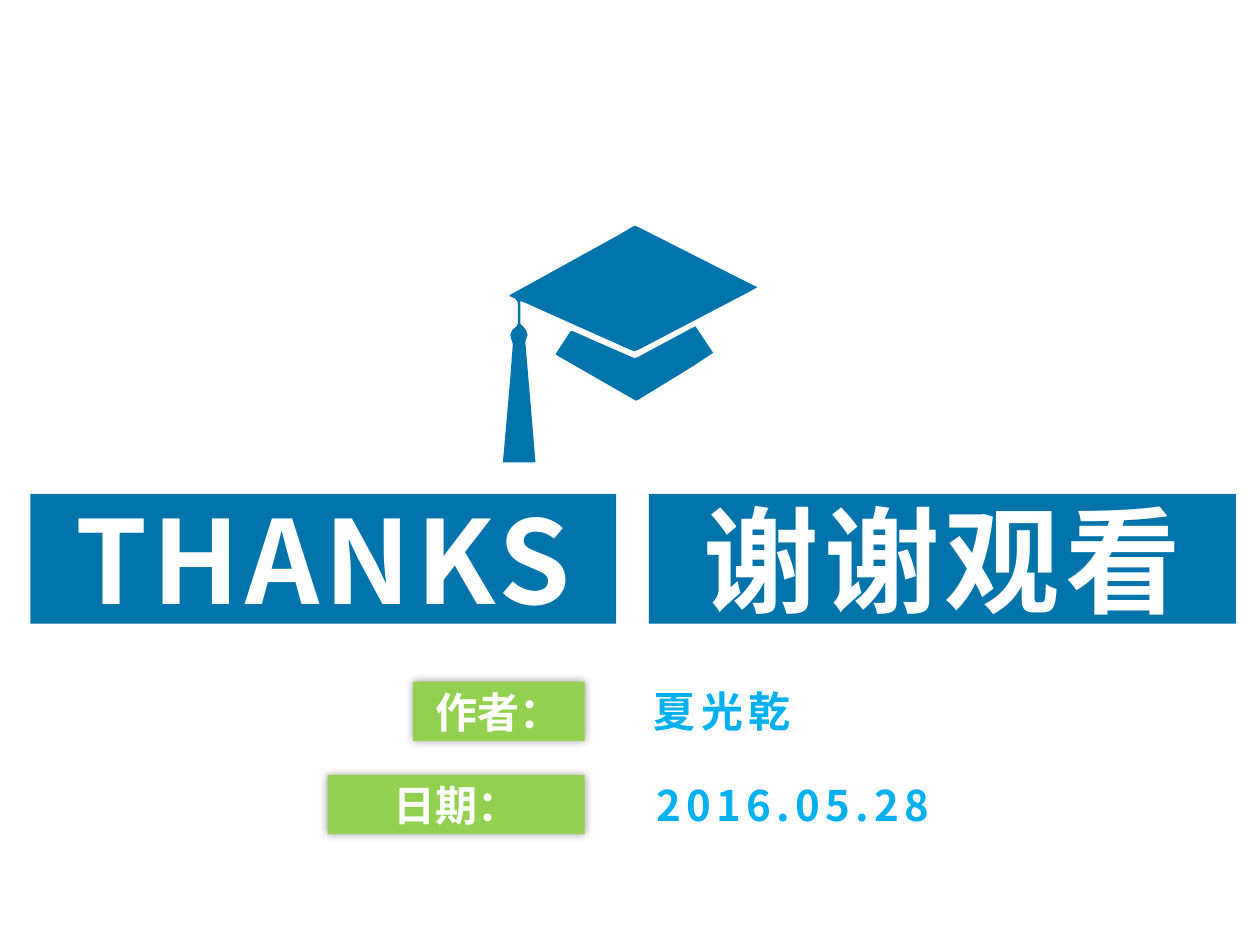
from lxml import etree
from pptx import Presentation
from pptx import util as u
from pptx.dml.color import RGBColor
from pptx.enum import shapes, text
from pptx.oxml import ns

COLORS = {"blue": "0174AB", "green": "92D14F", "sky": "00B0F0", "white": "FFFFFF", "black": "000000"}
COLUMNS, ROWS = 100, 75

TASSEL_AND_BOARD = [
    (41.3, 23.9), (41.3, 25.7), (41.5, 25.9), (41.75, 26.2), (41.87, 26.6), (41.7, 27.1),
    (41.7, 27.3), (42.1, 31.9), (42.5, 36.7), (39.9, 36.7), (40, 35.7), (40.5, 30),
    (40.7, 27.3), (40.6, 27), (40.5, 26.6), (40.65, 26.2), (41, 25.9), (41.1, 25.7),
    (41.1, 24), (40.9, 23.7), (40.4, 23.5), (40.5, 23.4), (49.2, 18.6), (50.2, 18),
    (50.4, 17.93), (50.6, 18), (58.5, 22), (60.1, 22.8), (59.2, 23.3), (50.6, 27.8),
    (50.35, 27.87), (50.1, 27.8), (41.6, 24),
]
CAP_BAND = [
    (44.1, 28.1), (45.2, 26.4), (45.35, 26.27), (45.5, 26.3), (48, 27.4), (50.3, 28.4),
    (50.5, 28.4), (54.8, 26.1), (55.2, 25.9), (56.6, 28), (55.1, 29), (50.7, 31.7),
    (50.5, 31.8), (50.3, 31.7), (44.2, 28.2),
]


class Deck:
    font = "Noto Sans CJK SC"

    def __init__(self):
        self.presentation = Presentation()
        self.presentation.slide_width = u.Inches(10)
        self.presentation.slide_height = u.Inches(7.5)
        self.slide = self.presentation.slides.add_slide(self.presentation.slide_layouts[6])

    def x(self, columns):
        return round(self.presentation.slide_width * columns / COLUMNS)

    def y(self, rows):
        return round(self.presentation.slide_height * rows / ROWS)

    def area(self, left, top, width, height):
        return self.x(left), self.y(top), self.x(width), self.y(height)

    def paint(self, shape, color):
        shape.shadow.inherit = False
        shape.fill.solid()
        shape.fill.fore_color.rgb = RGBColor.from_string(COLORS[color])
        shape.line.fill.background()

    def letter(self, shape, words, size, color, spacing=0):
        frame = shape.text_frame
        frame.word_wrap = True
        frame.text = words
        paragraph = frame.paragraphs[0]
        paragraph.alignment = text.PP_ALIGN.CENTER
        run = paragraph.runs[0]
        run.font.name = self.font
        run.font.size = u.Pt(size)
        run.font.bold = True
        run.font.color.rgb = RGBColor.from_string(COLORS[color])
        properties = run._r.get_or_add_rPr()
        etree.SubElement(properties, ns.qn("a:ea"), typeface=self.font)
        if spacing:
            properties.set("spc", str(spacing * 100))

    def glow(self, shape):
        effects = shape._element.spPr.find(ns.qn("a:effectLst"))
        shadow = etree.SubElement(effects, ns.qn("a:outerShdw"), blurRad=str(int(u.Pt(5))), dist="0",
                                  algn="ctr", rotWithShape="0")
        tint = etree.SubElement(shadow, ns.qn("a:srgbClr"), val=COLORS["black"])
        etree.SubElement(tint, ns.qn("a:alpha"), val="40000")

    def box(self, area, words, size, color, spacing=0):
        shape = self.slide.shapes.add_shape(shapes.MSO_SHAPE.RECTANGLE, *self.area(*area))
        self.paint(shape, color)
        shape.text_frame.vertical_anchor = text.MSO_ANCHOR.MIDDLE
        self.letter(shape, words, size, "white", spacing)
        return shape

    def banner(self, left, width, words):
        self.box((left, 39.2, width, 10.3), words, 66, "blue", 3)

    def label(self, top, width, words, right=46.4):
        self.glow(self.box((right - width, top, width, 4.7), words, 24, "green"))

    def value(self, left, top, width, words):
        shape = self.slide.shapes.add_textbox(*self.area(left, top, width, 5))
        self.letter(shape, words, 24, "sky", 3)

    def outline(self, points):
        corners = [(self.x(column), self.y(row)) for column, row in points]
        builder = self.slide.shapes.build_freeform(*corners[0])
        builder.add_line_segments(corners[1:], close=True)
        self.paint(builder.convert_to_shape(), "blue")


def main():
    deck = Deck()
    deck.banner(2.4, 46.5, "THANKS")
    deck.label(61.5, 20.4, "日期：")
    deck.value(49.9, 61.4, 27.2, "2016.05.28 ")
    for part in (TASSEL_AND_BOARD, CAP_BAND):
        deck.outline(part)
    deck.banner(51.5, 46.6, "谢谢观看")
    deck.label(54.1, 13.6, "作者：")
    deck.value(48.8, 53.9, 18.2, "夏光乾 ")
    deck.presentation.save("out.pptx")


if __name__ == "__main__":
    main()
